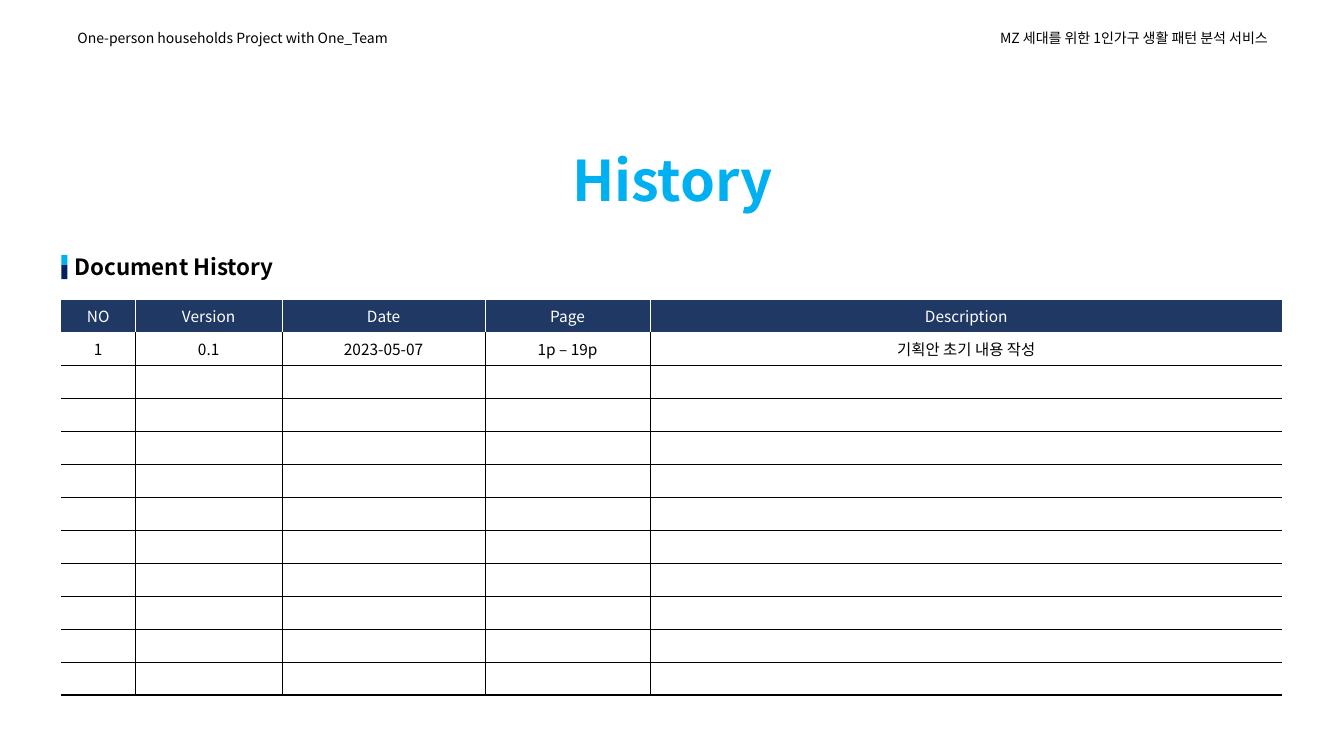
import pptx
import pptx.dml.color
import pptx.enum.shapes
import pptx.enum.text
import pptx.oxml.ns
import pptx.util
from lxml import etree

Inches = pptx.util.Inches
Align = pptx.enum.text.PP_ALIGN
Anchor = pptx.enum.text.MSO_ANCHOR
qn = pptx.oxml.ns.qn

FONT = "Noto Sans CJK KR"
COLORS = {"black": "000000", "white": "FFFFFF", "header": "203864",
          "sky": "00B0F0", "navy": "002060"}


def rgb(name):
    return pptx.dml.color.RGBColor.from_string(COLORS[name])


def add_run(paragraph, text, size, color, bold=False):
    """Add a run whose Latin and Korean letters share one font."""
    run = paragraph.add_run()
    run.text = text
    run.font.size = pptx.util.Pt(size)
    run.font.bold = bold
    run.font.color.rgb = rgb(color)
    run.font.name = FONT
    etree.SubElement(run.font._element, qn("a:ea"), typeface=FONT)


deck = pptx.Presentation()
deck.slide_width, deck.slide_height = Inches(13.33), Inches(7.5)
slide = deck.slides.add_slide(deck.slide_layouts[6])

# Page header, title and section heading
labels = [
    ("One-person households Project with One_Team",
     (0.67, 0.24, 3.58, 0.27), 10, "black", False, Align.LEFT),
    ("MZ 세대를 위한 1인가구 생활 패턴 분석 서비스",
     (9.09, 0.24, 3.58, 0.27), 10, "black", False, Align.RIGHT),
    ("History", (5.1, 1.39, 3.14, 0.77), 40, "sky", True, Align.CENTER),
    ("Document History", (0.64, 2.46, 3.97, 0.37), 16, "black", True, Align.LEFT),
]
for text, place, size, color, bold, align in labels:
    label = slide.shapes.add_textbox(*map(Inches, place)).text_frame
    label.word_wrap = True
    label.vertical_anchor = Anchor.MIDDLE
    label.paragraphs[0].alignment = align
    add_run(label.paragraphs[0], text, size, color, bold)

# Two-tone marker beside the section heading
for top, height, color in [(2.53, 0.1, "sky"), (2.63, 0.14, "navy")]:
    marker = slide.shapes.add_shape(
        pptx.enum.shapes.MSO_SHAPE.RECTANGLE,
        Inches(0.61), Inches(top), Inches(0.06), Inches(height))
    marker.shadow.inherit = False
    marker.fill.solid()
    marker.fill.fore_color.rgb = rgb(color)
    marker.line.fill.background()

# Revision table
column_widths = [0.73, 1.46, 2.01, 1.64, 6.27]
entries = [
    ["NO", "Version", "Date", "Page", "Description"],
    ["1", "0.1", "2023-05-07", "1p – 19p", "기획안 초기 내용 작성"],
]
row_count, column_count = 12, len(column_widths)
table_height = Inches(3.93)
revisions = slide.shapes.add_table(
    row_count, column_count, Inches(0.61), Inches(2.97),
    Inches(sum(column_widths)), table_height).table
revisions.first_row = revisions.horz_banding = False
for column, width in zip(revisions.columns, column_widths):
    column.width = Inches(width)

for r, row in enumerate(revisions.rows):
    row.height = table_height // row_count
    is_header, is_last = r == 0, r == row_count - 1
    ink = "white" if is_header else "black"
    for c, cell in enumerate(row.cells):
        cell.vertical_anchor = Anchor.MIDDLE
        cell.fill.solid()
        cell.fill.fore_color.rgb = rgb("header" if is_header else "white")

        paragraph = cell.text_frame.paragraphs[0]
        paragraph.alignment = Align.CENTER
        if r < len(entries):
            add_run(paragraph, entries[r][c], 11, ink)
        else:
            etree.SubElement(paragraph._p, qn("a:endParaRPr"), sz="1100")

        # The outer left and right edges stay open
        borders = [
            ("a:lnL", ink if c > 0 else None, 0.25),
            ("a:lnR", ink if c < column_count - 1 else None, 0.25),
            ("a:lnT", "white" if r < 2 else "black", 0.25),
            ("a:lnB", ink, 1.5 if is_last else 0.25),
        ]
        properties = cell._tc.get_or_add_tcPr()
        for position, (side, color, points) in enumerate(borders):
            border = etree.Element(qn(side), w=str(pptx.util.Pt(points)))
            properties.insert(position, border)
            if color:
                fill = etree.SubElement(border, qn("a:solidFill"))
                etree.SubElement(fill, qn("a:srgbClr"), val=COLORS[color])
            else:
                etree.SubElement(border, qn("a:noFill"))

deck.save("out.pptx")
